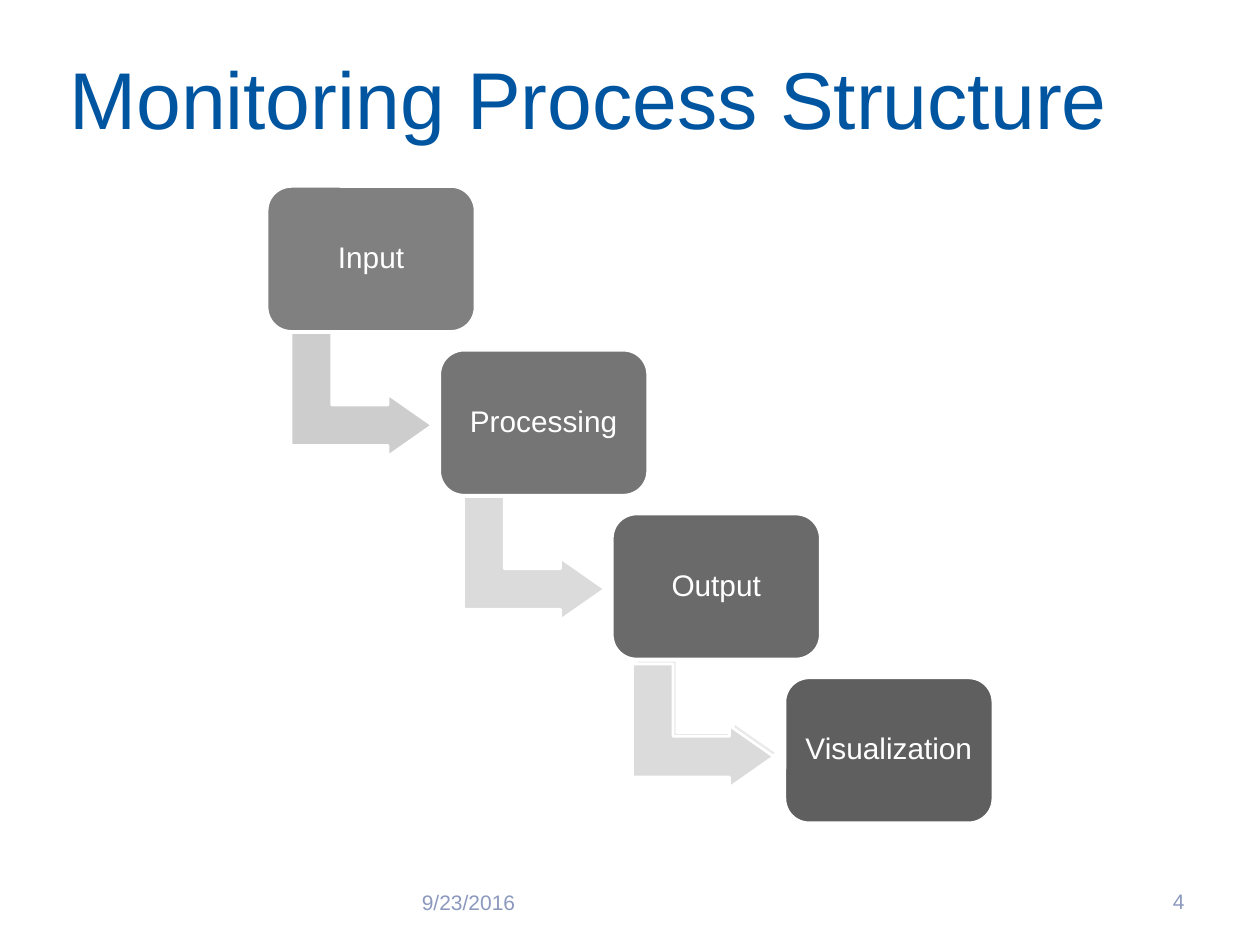
from pptx import Presentation
from pptx.dml.color import RGBColor
from pptx.enum.shapes import MSO_SHAPE
from pptx.enum.text import MSO_ANCHOR, PP_ALIGN
from pptx.util import Inches, Pt

ROUNDED = MSO_SHAPE.ROUNDED_RECTANGLE
BENT_ARROW = MSO_SHAPE.BENT_UP_ARROW
MIDDLE = MSO_ANCHOR.MIDDLE
LEFT, CENTER, RIGHT = PP_ALIGN.LEFT, PP_ALIGN.CENTER, PP_ALIGN.RIGHT

WHITE = RGBColor(0xFF, 0xFF, 0xFF)
TITLE_BLUE = RGBColor(0x00, 0x55, 0xA0)
FOOTER_BLUE = RGBColor(0x8C, 0x99, 0xBE)
LIGHT_GRAY = RGBColor(0xDB, 0xDB, 0xDB)

STEPS = [
    ("Input", RGBColor(0x80, 0x80, 0x80), RGBColor(0xCD, 0xCD, 0xCD)),
    ("Processing", RGBColor(0x75, 0x75, 0x75), LIGHT_GRAY),
    ("Output", RGBColor(0x6A, 0x6A, 0x6A), RGBColor(0xEA, 0xEA, 0xEA)),
    ("Visualization", RGBColor(0x5F, 0x5F, 0x5F), None),
]
START_X, START_Y = 2.12, 1.48
STEP_X, STEP_Y = 1.37, 1.3
ARROW_DX, ARROW_DY = 0.26, 1.09


class SlideBuilder:
    font = "Arial"

    def __init__(self, slide):
        self.slide = slide

    def set_text(self, sp, text, size, color, align, inset_x, inset_y):
        tf = sp.text_frame
        tf.word_wrap = True
        tf.vertical_anchor = MIDDLE
        tf.margin_left = tf.margin_right = Inches(inset_x)
        tf.margin_top = tf.margin_bottom = Inches(inset_y)
        tf.text = text
        p = tf.paragraphs[0]
        p.alignment = align
        font = p.runs[0].font
        font.name = self.font
        font.size = Pt(size)
        font.color.rgb = color
        return p

    def title(self, text, x, y, w, h):
        sp = self.slide.shapes.title
        sp.left, sp.top, sp.width, sp.height = map(Inches, (x, y, w, h))
        self.set_text(sp, text, 46, TITLE_BLUE, LEFT, 0.05, 0.05)

    def footer(self, text, x, y, w, h, align=LEFT):
        sp = self.slide.shapes.add_textbox(*map(Inches, (x, y, w, h)))
        self.set_text(sp, text, 12, FOOTER_BLUE, align, 0.1, 0.05)

    def shape(self, kind, x, y, w, h, fill, adjustments):
        sp = self.slide.shapes.add_shape(kind, *map(Inches, (x, y, w, h)))
        sp.shadow.inherit = False
        sp.fill.solid()
        sp.fill.fore_color.rgb = fill
        sp.line.color.rgb = WHITE
        sp.line.width = Pt(1.5)
        for i, value in enumerate(adjustments):
            sp.adjustments[i] = value
        return sp

    def box(self, text, x, y, fill):
        sp = self.shape(ROUNDED, x, y, 1.65, 1.15, fill, [0.167])
        p = self.set_text(sp, text, 17, WHITE, CENTER, 0.07, 0.07)
        p.line_spacing = 0.9

    def arrow(self, x, y, fill):
        sp = self.shape(BENT_ARROW, x, y, 0.98, 1.12, fill, [0.328, 0.25, 0.358])
        sp.rotation = 90


def main():
    prs = Presentation()
    prs.slide_width, prs.slide_height = Inches(10), Inches(7.5)
    s = SlideBuilder(prs.slides.add_slide(prs.slide_layouts[5]))

    s.title("Monitoring Process Structure", 0.5, 0.26, 9, 1.03)
    s.footer("9/23/2016", 3.25, 6.96, 2.33, 0.4)
    s.footer("4", 8.95, 6.95, 0.55, 0.4, RIGHT)

    for i, (name, box_fill, arrow_fill) in enumerate(STEPS):
        x, y = START_X + i * STEP_X, START_Y + i * STEP_Y
        if arrow_fill is not None:
            s.arrow(x + ARROW_DX, y + ARROW_DY, arrow_fill)
        s.box(name, x, y, box_fill)
    s.arrow(5.09, 5.2, LIGHT_GRAY)

    prs.save("out.pptx")


if __name__ == "__main__":
    main()
